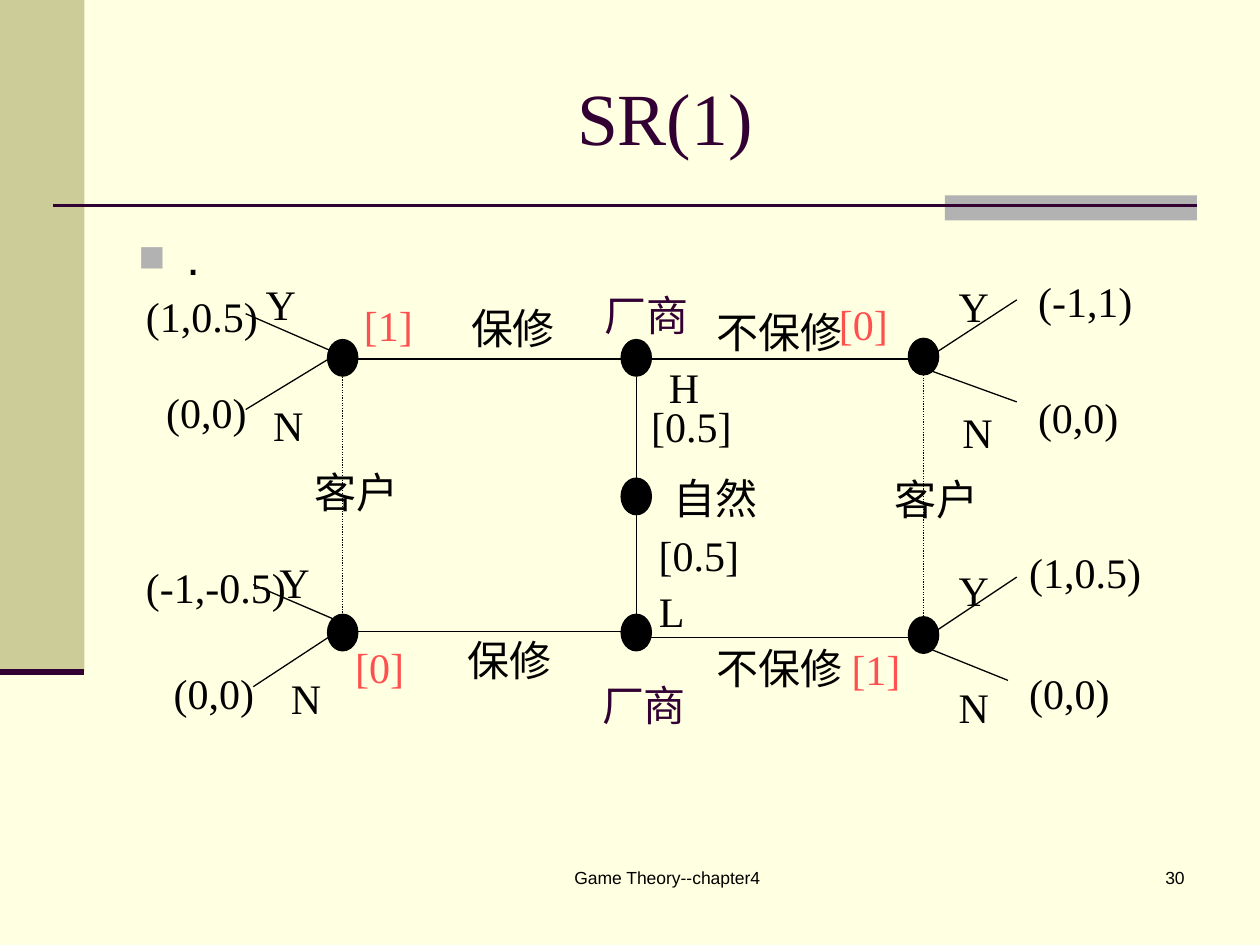
import pptx
import pptx.util
import pptx.dml.color
import pptx.enum.dml
import pptx.enum.shapes
import pptx.enum.text
import pptx.oxml.ns
from lxml import etree

Inches, Pt = pptx.util.Inches, pptx.util.Pt
ALIGN = pptx.enum.text.PP_ALIGN
ANCHOR = pptx.enum.text.MSO_ANCHOR
SHAPE = pptx.enum.shapes.MSO_SHAPE
qn = pptx.oxml.ns.qn

COLORS = {"bg": "FFFFE1", "band": "CCCC99", "gray": "B2B2B2",
          "plum": "330033", "ink": "000000", "belief": "FF5050"}
SERIF, SANS, CJK = "Times New Roman", "Arial", "Noto Sans CJK SC"

# Node columns, and the centre of each node
LEFT, MID, RIGHT = 2.72, 5.05, 7.33
NODES = [(LEFT, 2.84), (MID, 2.84), (RIGHT, 2.83), (MID, 3.94),
         (LEFT, 5.02), (MID, 5.02), (RIGHT, 5.04)]
NODE_W, NODE_H = 0.24, 0.29

# Tree edges: x1, y1, x2, y2
MOVES = [(4.93, 2.85, LEFT, 2.85), (5.09, 2.85, 7.29, 2.85),
         (4.97, 5.01, 2.76, 5.01), (5.09, 5.06, 7.38, 5.06),
         (MID, 2.99, MID, 4.89)]
REPLIES = [(1.95, 2.49, 2.64, 2.79), (2.64, 2.83, 1.95, 3.25),
           (2.01, 4.64, 2.64, 4.91), (2.68, 5.01, 2.01, 5.45),
           (8.07, 3.19, 7.38, 2.94), (7.38, 2.83, 8.07, 2.38),
           (8, 5.4, 7.38, 5.15), (7.38, 5.04, 8.07, 4.58)]
INFO_SETS = [(LEFT, 2.99, LEFT, 4.96), (RIGHT, 4.89, RIGHT, 2.91)]

# Labels: text, box width, colour, top-left corners
LABELS = [
    ("厂商", 0.87, "plum", [(4.7, 2.25), (4.68, 5.34)]),
    ("客户", 0.87, "ink", [(2.4, 3.65), (7, 3.71)]),
    ("自然", 0.89, "ink", [(5.25, 3.7)]),
    ("保修", 0.87, "ink", [(3.64, 2.35), (3.61, 4.99)]),
    ("不保修", 1.2, "ink", [(5.59, 2.38), (5.59, 5.05)]),
    ("H", 0.44, "ink", [(5.21, 2.82)]),
    ("L", 0.41, "ink", [(5.13, 4.6)]),
    ("[0.5]", 0.84, "ink", [(5.07, 3.13), (5.13, 4.15)]),
    ("Y", 0.44, "ink", [(2.01, 2.16), (2.12, 4.37), (7.51, 2.18), (7.51, 4.43)]),
    ("N", 0.44, "ink", [(2.07, 3.12), (2.21, 5.29), (7.54, 3.18), (7.51, 5.36)]),
    ("(1,0.5)", 1.09, "ink", [(1.06, 2.26), (8.07, 4.29)]),
    ("(-1,-0.5)", 1.31, "ink", [(1.06, 4.41)]),
    ("(-1,1)", 0.95, "ink", [(8.14, 2.14)]),
    ("(0,0)", 0.84, "ink", [(1.22, 3.02), (1.28, 5.25), (8.14, 3.06), (8.07, 5.25)]),
    ("[1]", 0.59, "belief", [(2.79, 2.33), (6.66, 5.06)]),
    ("[0]", 0.59, "belief", [(2.72, 5.04), (6.56, 2.32)]),
]


def rgb(name):
    return pptx.dml.color.RGBColor.from_string(COLORS[name])


def write(tf, text, size=24, font=SERIF, color="ink", align=ALIGN.LEFT):
    p = tf.paragraphs[0]
    p.alignment = align
    r = p.add_run()
    r.text = text
    r.font.size, r.font.name = Pt(size), font
    r.font.color.rgb = rgb(color)
    etree.SubElement(r._r.get_or_add_rPr(), qn("a:ea"), typeface=CJK)
    return p


def add_text(s, text, x, y, w, h=0.5, wrap=False, **fmt):
    tf = s.shapes.add_textbox(Inches(x), Inches(y), Inches(w), Inches(h)).text_frame
    tf.word_wrap = wrap
    write(tf, text, **fmt)


def add_solid(s, kind, x, y, w, h, color, outline=False):
    sp = s.shapes.add_shape(kind, Inches(x), Inches(y), Inches(w), Inches(h))
    sp.shadow.inherit = False
    sp.fill.solid()
    sp.fill.fore_color.rgb = rgb(color)
    if outline:
        sp.line.color.rgb = rgb(color)
        sp.line.width = Pt(0.75)
    else:
        sp.line.fill.background()


def add_line(s, x1, y1, x2, y2, color="ink", width=0.75, dash=None):
    ln = s.shapes.add_connector(pptx.enum.shapes.MSO_CONNECTOR.STRAIGHT,
                                Inches(x1), Inches(y1), Inches(x2), Inches(y2))
    ln.line.color.rgb = rgb(color)
    ln.line.width = Pt(width)
    if dash:
        ln.line.dash_style = dash
    etree.SubElement(ln._element.spPr, qn("a:effectLst"))


def place(sp, x, y, w, h):
    sp.left, sp.top, sp.width, sp.height = map(Inches, (x, y, w, h))


def set_bullet(p, char, color, percent, indent):
    pPr = p._p.get_or_add_pPr()
    pPr.set("marL", str(Inches(indent)))
    pPr.set("indent", str(-Inches(indent)))
    clr = etree.SubElement(pPr, qn("a:buClr"))
    etree.SubElement(clr, qn("a:srgbClr"), val=COLORS[color])
    etree.SubElement(pPr, qn("a:buSzPct"), val=str(percent * 1000))
    etree.SubElement(pPr, qn("a:buFont"), typeface=SANS)
    etree.SubElement(pPr, qn("a:buChar"), char=char)


def add_decoration(s):
    add_solid(s, SHAPE.RECTANGLE, 0, 0, 0.67, 5.33, "band")
    add_solid(s, SHAPE.RECTANGLE, 7.5, 1.55, 2, 0.2, "gray")
    add_line(s, 0.42, 1.63, 9.5, 1.63, "plum", 1.5)
    add_line(s, 0, 5.33, 0.67, 5.33, "plum", 3.5)


def fill_placeholders(s):
    title, body = s.shapes.title, s.placeholders[1]
    place(title, 1, 0.3, 8.5, 1.25)
    title.text_frame.vertical_anchor = ANCHOR.MIDDLE
    title.text_frame.margin_left = Inches(3.58)
    write(title.text_frame, "SR(1)", size=42, color="plum")

    place(body, 1, 1.75, 8.5, 4.95)
    p = write(body.text_frame, ".", size=28, font=SANS)
    p.space_before = Pt(5.6)
    set_bullet(p, "■", "gray", 90, 0.38)


def add_game_tree(s):
    for edge in MOVES + REPLIES:
        add_line(s, *edge)
    for edge in INFO_SETS:
        add_line(s, *edge, dash=pptx.enum.dml.MSO_LINE.ROUND_DOT)
    for x, y in NODES:
        add_solid(s, SHAPE.OVAL, x - NODE_W / 2, y - NODE_H / 2,
                  NODE_W, NODE_H, "ink", outline=True)
    for text, w, color, corners in LABELS:
        for x, y in corners:
            add_text(s, text, x, y, w, color=color)


def main():
    prs = pptx.Presentation()
    prs.slide_width, prs.slide_height = Inches(10), Inches(7.5)
    s = prs.slides.add_slide(prs.slide_layouts[1])
    s.background.fill.solid()
    s.background.fill.fore_color.rgb = rgb("bg")

    add_decoration(s)
    fill_placeholders(s)
    add_game_tree(s)

    # Footer and slide number
    small = {"size": 10, "font": SANS, "wrap": True}
    add_text(s, "Game Theory--chapter4", 3.67, 6.83, 3.25, align=ALIGN.CENTER, **small)
    add_text(s, "30", 7.42, 6.83, 2.08, align=ALIGN.RIGHT, **small)
    prs.save("out.pptx")


if __name__ == "__main__":
    main()
